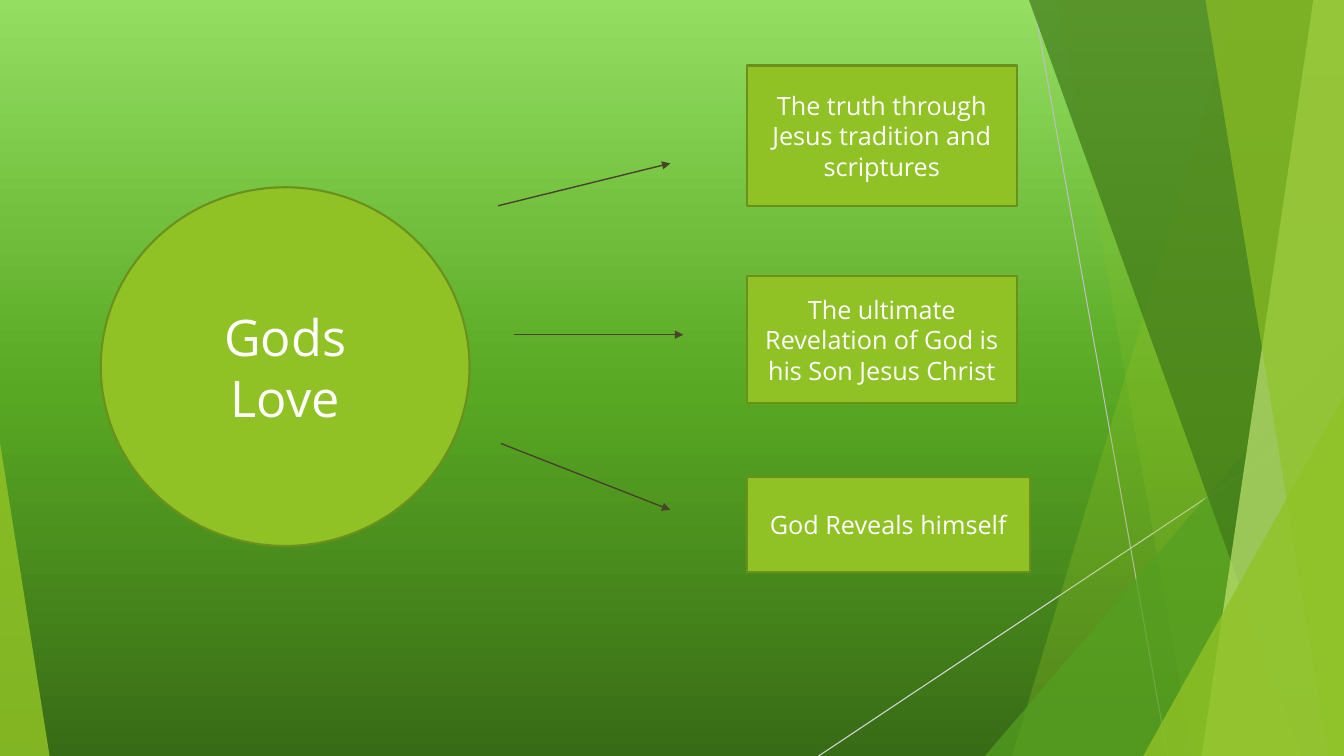
from copy import deepcopy
from dataclasses import dataclass

from lxml import etree
from pptx import Presentation
from pptx.dml.color import RGBColor
from pptx.enum.shapes import MSO_CONNECTOR, MSO_SHAPE
from pptx.enum.text import MSO_ANCHOR, PP_ALIGN
from pptx.oxml.ns import qn
from pptx.util import Emu, Inches, Pt

STRAIGHT = MSO_CONNECTOR.STRAIGHT
OVAL, RECT, TRIANGLE = MSO_SHAPE.OVAL, MSO_SHAPE.RECTANGLE, MSO_SHAPE.ISOSCELES_TRIANGLE
MIDDLE, CENTER = MSO_ANCHOR.MIDDLE, PP_ALIGN.CENTER

FONT = "Open Sans"
COLS, ROWS = 32, 18
COLORS = {
    "lime": "90C226", "olive": "6B901C", "green": "54A021", "forest": "3F7819",
    "pale": "C0E474", "arrow": "48432A", "gray": "BFBFBF", "silver": "D9D9D9",
    "white": "FFFFFF", "bg_low": "386B16", "bg_mid": "58A823", "bg_high": "94DE61",
}
BACKGROUND = [(0, "bg_low"), (0.48, "bg_mid"), (1, "bg_high")]


@dataclass
class Line:
    x1: float
    y1: float
    x2: float
    y2: float
    color: str = "arrow"
    width: float = 1
    arrow: bool = True


@dataclass
class Band:
    top_x: float
    bottom_x: float
    color: str
    alpha: int


@dataclass
class Wedge:
    x: float
    y: float
    w: float
    apex: float
    color: str
    alpha: int


@dataclass
class Node:
    text: str
    y: float
    w: float
    h: float
    x: float = 17.78
    kind: MSO_SHAPE = RECT
    size: int = 18


RAYS = [
    Line(24.6, 0, 27.8, ROWS, "gray", 0.75, False),
    Line(COLS, 9.67, 19.49, ROWS, "silver", 0.75, False),
]
FACETS = [
    Band(29.47, 24.1, "lime", 30),
    Band(25.2, 28.4, "lime", 20),
    Wedge(23.45, 8, 8.55, 1, "green", 72),
    Band(24.5, 30.98, "forest", 70),
    Band(31.27, 28.61, "pale", 70),
    Band(28.7, 31.63, "lime", 65),
    Wedge(27.22, 9.43, 4.78, 1, "lime", 80),
    Wedge(0, 10.54, 1.18, 0, "lime", 85),
]
NODES = [
    Node("Gods Love", 4.46, 8.78, 8.54, 2.4, OVAL, 36),
    Node("The truth through Jesus tradition and scriptures", 1.56, 6.43, 3.34),
    Node("The ultimate Revelation of God is his Son Jesus Christ", 6.58, 6.43, 3.02),
    Node("God Reveals himself", 11.35, 6.74, 2.28),
]
ARROWS = [
    Line(11.86, 4.9, 15.96, 3.89),
    Line(12.24, 7.97, 16.27, 7.97),
    Line(11.93, 10.56, 15.96, 12.14),
]

prs = Presentation()
prs.slide_width, prs.slide_height = Inches(13.33), Inches(7.5)


def col(n: float) -> Emu:
    return Emu(round(prs.slide_width * n / COLS))


def row(n: float) -> Emu:
    return Emu(round(prs.slide_height * n / ROWS))


def rgb(name: str) -> RGBColor:
    return RGBColor.from_string(COLORS[name])


def paint_background(s) -> None:
    fill = s.background.fill
    fill.gradient()
    fill.gradient_angle = 90
    stops = next(s.element.iter(qn("a:gsLst")))
    stops.append(deepcopy(stops[0]))
    for stop, (position, color) in zip(fill.gradient_stops, BACKGROUND):
        stop.position = position
        stop.color.rgb = rgb(color)


def draw_line(s, line: Line) -> None:
    sp = s.shapes.add_connector(STRAIGHT, col(line.x1), row(line.y1), col(line.x2), row(line.y2))
    sp.line.color.rgb = rgb(line.color)
    sp.line.width = Pt(line.width)
    if line.arrow:
        etree.SubElement(sp.line._get_or_add_ln(), qn("a:tailEnd"), type="triangle")
    etree.SubElement(sp.element.spPr, qn("a:effectLst"))


def draw_facet(s, facet: Band | Wedge) -> None:
    if isinstance(facet, Band):
        builder = s.shapes.build_freeform(col(facet.top_x), 0)
        corners = [(COLS, 0), (COLS, ROWS), (facet.bottom_x, ROWS)]
        builder.add_line_segments([(col(x), row(y)) for x, y in corners])
        sp = builder.convert_to_shape()
    else:
        sp = s.shapes.add_shape(
            TRIANGLE, col(facet.x), row(facet.y), col(facet.w), row(ROWS - facet.y))
        sp.adjustments[0] = facet.apex
    sp.shadow.inherit = False
    sp.line.fill.background()
    sp.fill.solid()
    sp.fill.fore_color.rgb = rgb(facet.color)
    color = next(sp.element.spPr.iter(qn("a:srgbClr")))
    etree.SubElement(color, qn("a:alpha"), val=str(facet.alpha * 1000))


def write(sp, text: str, *, size: int, color: str = "white") -> None:
    tf = sp.text_frame
    tf.word_wrap = True
    tf.vertical_anchor = MIDDLE
    p = tf.paragraphs[0]
    p.alignment = CENTER
    r = p.add_run()
    r.text = text
    r.font.name = FONT
    r.font.size = Pt(size)
    r.font.color.rgb = rgb(color)


def draw_node(s, node: Node) -> None:
    sp = s.shapes.add_shape(node.kind, col(node.x), row(node.y), col(node.w), row(node.h))
    sp.shadow.inherit = False
    sp.fill.solid()
    sp.fill.fore_color.rgb = rgb("lime")
    sp.line.color.rgb = rgb("olive")
    sp.line.width = Pt(1.5)
    write(sp, node.text, size=node.size)


def main() -> None:
    s = prs.slides.add_slide(prs.slide_layouts[6])
    paint_background(s)
    for ray in RAYS:
        draw_line(s, ray)
    for facet in FACETS:
        draw_facet(s, facet)
    for node in NODES:
        draw_node(s, node)
    for arrow in ARROWS:
        draw_line(s, arrow)
    prs.save("out.pptx")


if __name__ == "__main__":
    main()
